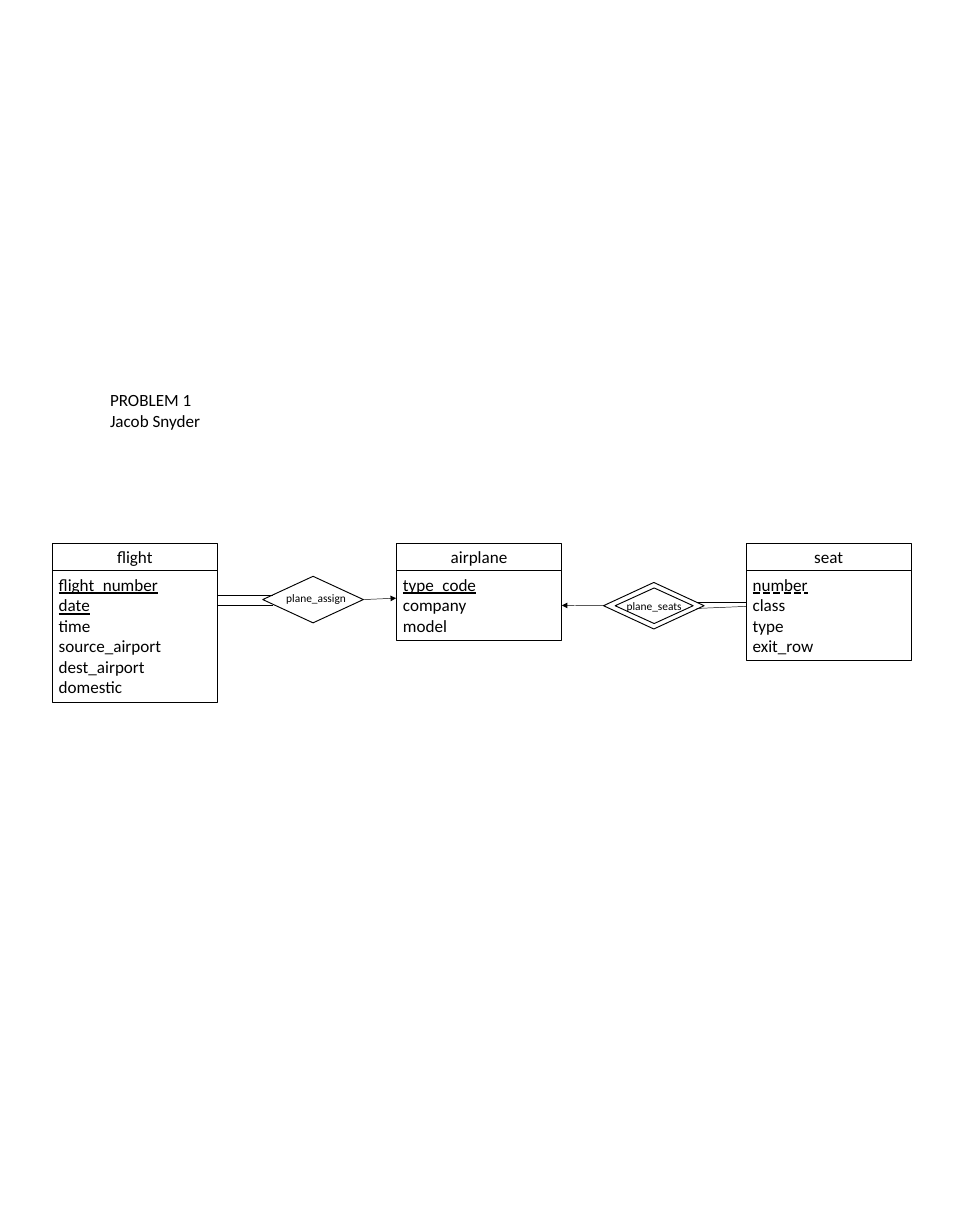
import pptx
import pptx.util
import pptx.dml.color
import pptx.enum.dml
import pptx.enum.shapes
import pptx.enum.text
import pptx.oxml
import pptx.oxml.ns
from pptx.util import Inches

BLACK = pptx.dml.color.RGBColor(0, 0, 0)
SHAPES = pptx.enum.shapes.MSO_SHAPE
ALIGN = pptx.enum.text.PP_ALIGN
ANCHOR = pptx.enum.text.MSO_ANCHOR
DASHED = pptx.enum.text.MSO_UNDERLINE.DASH_LINE

BOX_WIDTH = 2.42
TITLE_TOP, TITLE_HEIGHT = 7.94, 0.4

presentation = pptx.Presentation()
presentation.slide_width = Inches(14)
presentation.slide_height = Inches(18)
slide = presentation.slides.add_slide(presentation.slide_layouts[6])


def add_outline(kind, left, top, width, height, line_width):
    """Add an unfilled black-edged shape."""
    shape = slide.shapes.add_shape(
        kind, Inches(left), Inches(top), Inches(width), Inches(height))
    shape.shadow.inherit = False
    shape.fill.background()
    shape.line.color.rgb = BLACK
    shape.line.width = pptx.util.Pt(line_width)
    return shape


def write_lines(shape, lines, size, alignment):
    shape.text_frame.text = "\n".join(lines)
    shape.text_frame.vertical_anchor = ANCHOR.TOP
    for paragraph in shape.text_frame.paragraphs:
        paragraph.alignment = alignment
        paragraph.font.name = "Calibri"
        paragraph.font.size = pptx.util.Pt(size)
        paragraph.font.color.rgb = BLACK


# Entities: name, left, height of attribute box, key count, key underline, attributes
entities = [
    ("flight", 0.76, 1.92, 2, True,
     ["flight_number", "date", "time", "source_airport", "dest_airport", "domestic"]),
    ("airplane", 5.79, 1.01, 1, True, ["type_code", "company", "model"]),
    ("seat", 10.9, 1.31, 1, DASHED, ["number", "class", "type", "exit_row"]),
]
attribute_boxes = {}
for name, left, height, key_count, underline, attributes in entities:
    box = add_outline(SHAPES.RECTANGLE, left, TITLE_TOP + TITLE_HEIGHT,
                      BOX_WIDTH, height, 0.75)
    write_lines(box, attributes, 18, ALIGN.LEFT)
    for paragraph in box.text_frame.paragraphs[:key_count]:
        paragraph.font.underline = underline
    attribute_boxes[name] = box
    title = add_outline(SHAPES.RECTANGLE, left, TITLE_TOP, BOX_WIDTH, TITLE_HEIGHT, 0.75)
    write_lines(title, [name], 18, ALIGN.CENTER)

# Relationships
assign_diamond = add_outline(SHAPES.DIAMOND, 3.84, 8.42, 1.47, 0.68, 1)
seats_diamond = add_outline(SHAPES.DIAMOND, 8.82, 8.51, 1.47, 0.68, 1)
add_outline(SHAPES.DIAMOND, 8.99, 8.59, 1.14, 0.52, 1)

# Free text: lines, left, top, width, height, size, alignment
labels = [
    (["plane_assign"], 4.08, 8.59, 1.08, 0.3, 12, ALIGN.CENTER),
    (["plane_seats"], 9.05, 8.71, 1.02, 0.3, 12, ALIGN.CENTER),
    (["PROBLEM 1", "Jacob Snyder"], 1.51, 5.64, 1.54, 0.71, 18, ALIGN.LEFT),
]
for lines, left, top, width, height, size, alignment in labels:
    text_box = slide.shapes.add_textbox(
        Inches(left), Inches(top), Inches(width), Inches(height))
    text_box.text_frame.word_wrap = False
    write_lines(text_box, lines, size, alignment)

# Links: start x, start y, end x, end y, arrowhead, (start shape, site), (end shape, site)
links = [
    (3.18, 8.69, 3.99, 8.69, False, None, None),
    (3.18, 8.85, 3.99, 8.85, False, None, None),
    (5.31, 8.76, 5.79, 8.74, True, (assign_diamond, 3), None),
    (8.82, 8.85, 8.21, 8.85, True, (seats_diamond, 1), (attribute_boxes["airplane"], 3)),
    (10.18, 8.8, 10.9, 8.8, False, None, None),
    (10.18, 8.89, 10.9, 8.86, False, None, None),
]
for start_x, start_y, end_x, end_y, arrowhead, start, end in links:
    connector = slide.shapes.add_connector(
        pptx.enum.shapes.MSO_CONNECTOR.STRAIGHT,
        Inches(start_x), Inches(start_y), Inches(end_x), Inches(end_y))
    if start:
        connector.begin_connect(*start)
    if end:
        connector.end_connect(*end)
    connector.line.color.rgb = BLACK
    connector.line.width = pptx.util.Pt(0.5)
    properties = connector.line._get_or_add_ln().getparent()
    if arrowhead:
        head = pptx.oxml.parse_xml(
            f'<a:tailEnd {pptx.oxml.ns.nsdecls("a")} type="triangle"/>')
        connector.line._get_or_add_ln().append(head)
    properties.append(pptx.oxml.parse_xml(
        f'<a:effectLst {pptx.oxml.ns.nsdecls("a")}/>'))

presentation.save("out.pptx")
